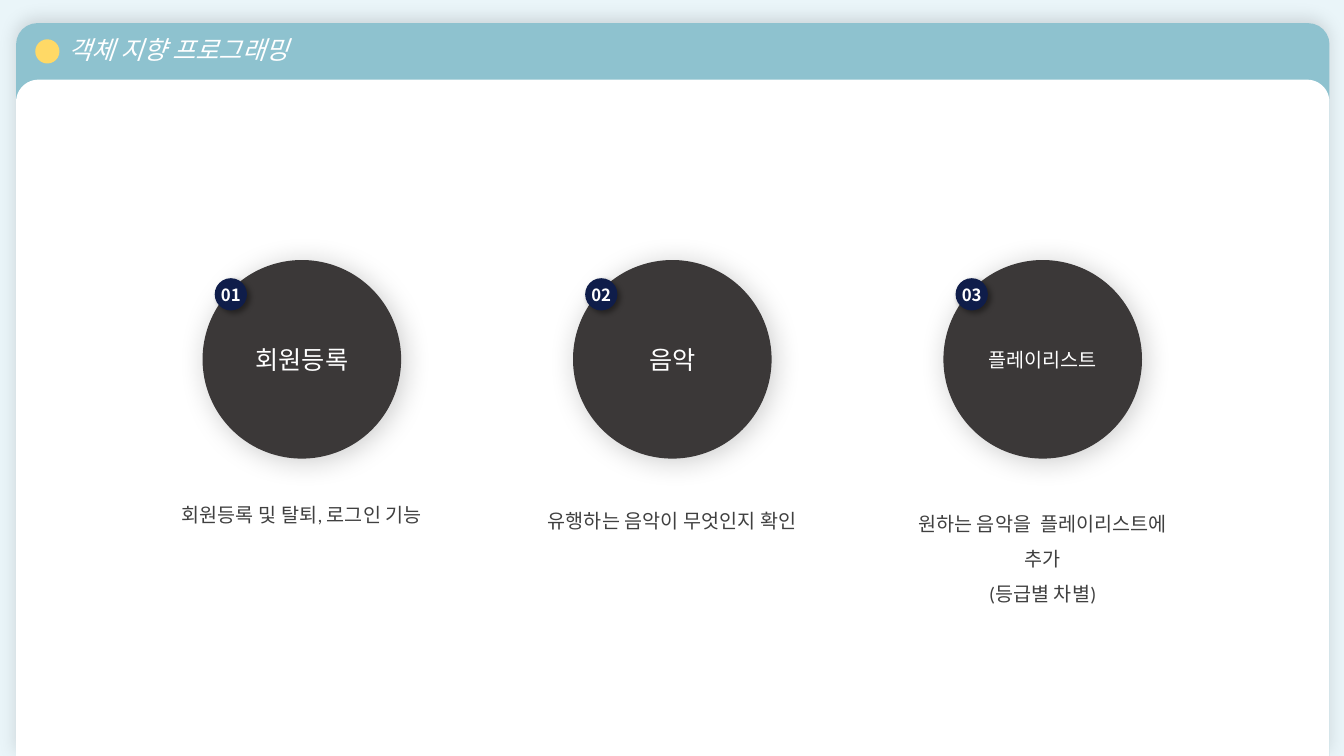
from lxml import etree
from pptx import Presentation
from pptx.dml.color import RGBColor
from pptx.enum.shapes import MSO_SHAPE
from pptx.enum.text import MSO_ANCHOR, MSO_AUTO_SIZE, PP_ALIGN
from pptx.oxml.ns import qn
from pptx.util import Pt

OVAL = MSO_SHAPE.OVAL
ROUND_TOP = MSO_SHAPE.ROUND_2_SAME_RECTANGLE
LEFT, CENTER = PP_ALIGN.LEFT, PP_ALIGN.CENTER
TOP, MIDDLE = MSO_ANCHOR.TOP, MSO_ANCHOR.MIDDLE
NO_AUTOFIT = MSO_AUTO_SIZE.NONE
TITLE_ONLY = 5

COLORS = {
    "background": "EAF5F9", "header": "8EC2CF", "panel": "FFFFFF",
    "dot": "FFD966", "circle": "3B3838", "badge": "0F1D4A",
    "light": "FFFFFF", "body": "404040", "shadow": "000000",
}
KOREAN, BODY = "Noto Sans CJK KR", "Calibri"

# Feature columns: left edge of the first circle and distance between circles
FIRST_LEFT, PITCH = 144.72, 264.6
CIRCLE_TOP, CIRCLE_SIZE = 185.76, 141.84
BADGE_SIZE, BADGE_DX, BADGE_DY = 23.04, 8.64, 12.96
NOTE_WIDTH = 203.76

# Label, label size, top of the note, lines of the note
FEATURES = [
    ("회원등록", 18, 347.04, ["회원등록 및 탈퇴, 로그인 기능"]),
    ("음악", 18, 351.36, ["유행하는 음악이 무엇인지 확인"]),
    ("플레이리스트", 14, 353.52,
     ["원하는 음악을  플레이리스트에 추가", "(등급별 차별)"]),
]


def color(name):
    return RGBColor.from_string(COLORS[name])


def add_shadow(shape, alpha, blur, distance, angle):
    effects = shape._element.spPr.find(qn("a:effectLst"))
    outer = etree.SubElement(
        effects, qn("a:outerShdw"), blurRad=str(Pt(blur)),
        dist=str(Pt(distance)), dir=str(angle * 60000),
        algn="ctr", rotWithShape="0")
    tint = etree.SubElement(outer, qn("a:srgbClr"), val=COLORS["shadow"])
    etree.SubElement(tint, qn("a:alpha"), val=str(alpha * 1000))


def add_plain_shape(slide, kind, left, top, width, height, fill, shadow=None):
    shape = slide.shapes.add_shape(
        kind, Pt(left), Pt(top), Pt(width), Pt(height))
    shape.shadow.inherit = False
    shape.fill.solid()
    shape.fill.fore_color.rgb = color(fill)
    shape.line.fill.background()
    if shadow:
        add_shadow(shape, *shadow)
    return shape


def write(shape, lines, size, ink, font=KOREAN, align=CENTER, anchor=MIDDLE,
          wrap=True, bold=False, italic=False, spacing=1.0):
    frame = shape.text_frame
    frame.auto_size = NO_AUTOFIT
    frame.word_wrap = wrap
    frame.vertical_anchor = anchor
    for number, line in enumerate(lines):
        paragraph = frame.add_paragraph() if number else frame.paragraphs[0]
        paragraph.alignment = align
        paragraph.line_spacing = spacing
        run = paragraph.add_run()
        run.text = line
        run.font.size = Pt(size)
        run.font.bold = bold
        run.font.italic = italic
        run.font.color.rgb = color(ink)
        run.font.name = font
        # East Asian typeface for the Korean text
        etree.SubElement(run.font._element, qn("a:ea"), typeface=font)


def add_header(slide):
    header = add_plain_shape(slide, ROUND_TOP, 11.52, 16.56, 938.16, 523.44,
                             "header", (12, 12, 3, 270))
    header.adjustments[0] = 0.029
    panel = add_plain_shape(slide, ROUND_TOP, 11.52, 56.88, 938.16, 483.12,
                            "panel")
    panel.adjustments[0] = 0.033
    add_plain_shape(slide, OVAL, 25.2, 28.08, 17.28, 17.28, "dot")

    title = slide.shapes.title
    title.left, title.top = Pt(41.76), Pt(20.88)
    title.width, title.height = Pt(480.96), Pt(28.8)
    write(title, ["객체 지향 프로그래밍"], 18, "light", align=LEFT,
          anchor=MIDDLE, italic=True)
    # Bring the title in front of the header band
    slide.shapes._spTree.append(title._element)


def add_feature(slide, index, label, label_size, note_top, note_lines):
    left = FIRST_LEFT + index * PITCH
    circle = add_plain_shape(slide, OVAL, left, CIRCLE_TOP, CIRCLE_SIZE,
                             CIRCLE_SIZE, "circle", (20, 20, 3, 45))
    write(circle, [label], label_size, "light")

    badge = add_plain_shape(slide, OVAL, left + BADGE_DX,
                            CIRCLE_TOP + BADGE_DY, BADGE_SIZE, BADGE_SIZE,
                            "badge", (40, 4, 3, 45))
    write(badge, [f"{index + 1:02d}"], 12, "light", wrap=False, bold=True)

    note_left = left + (CIRCLE_SIZE - NOTE_WIDTH) / 2
    note = slide.shapes.add_textbox(
        Pt(note_left), Pt(note_top), Pt(NOTE_WIDTH),
        Pt(4.32 + 25.2 * len(note_lines)))
    write(note, note_lines, 14, "body", font=BODY, anchor=TOP, spacing=1.5)


def main():
    deck = Presentation()
    deck.slide_width, deck.slide_height = Pt(960), Pt(540)
    slide = deck.slides.add_slide(deck.slide_layouts[TITLE_ONLY])
    slide.background.fill.solid()
    slide.background.fill.fore_color.rgb = color("background")

    add_header(slide)
    for index, feature in enumerate(FEATURES):
        add_feature(slide, index, *feature)

    deck.save("out.pptx")


if __name__ == "__main__":
    main()
